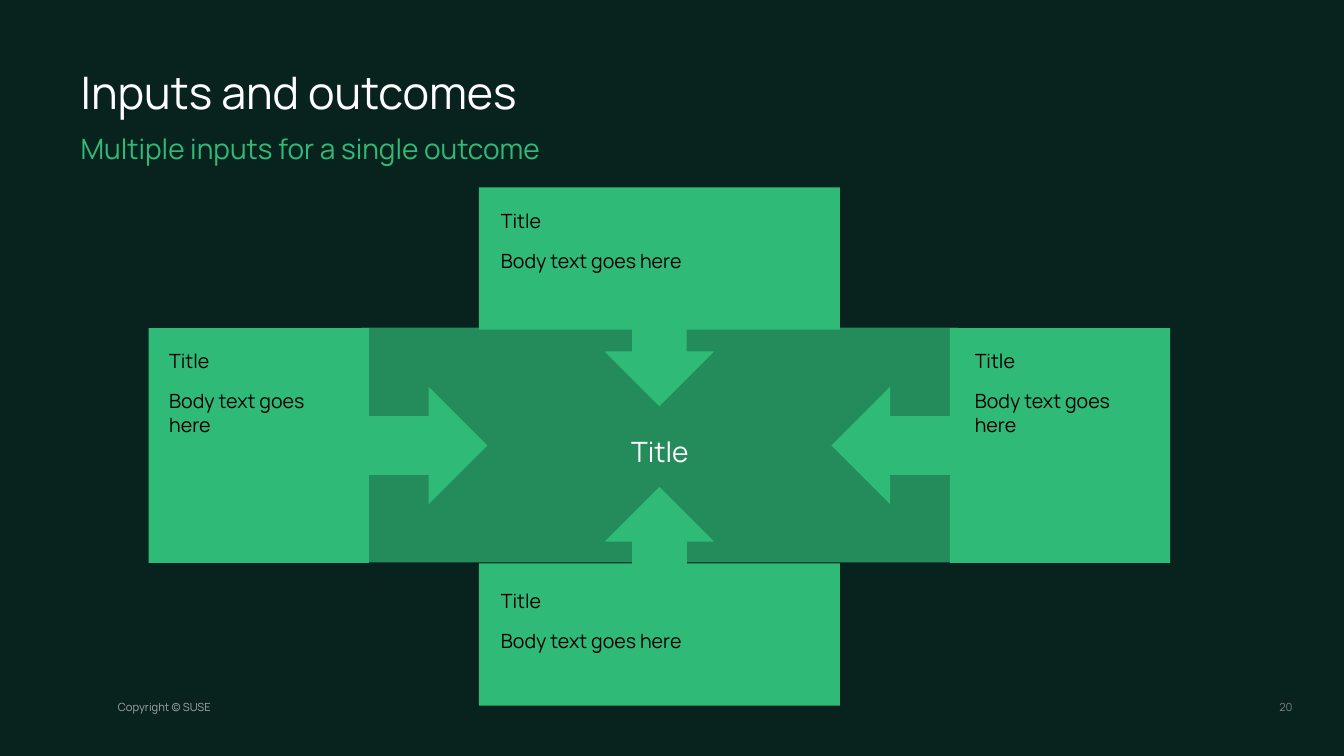
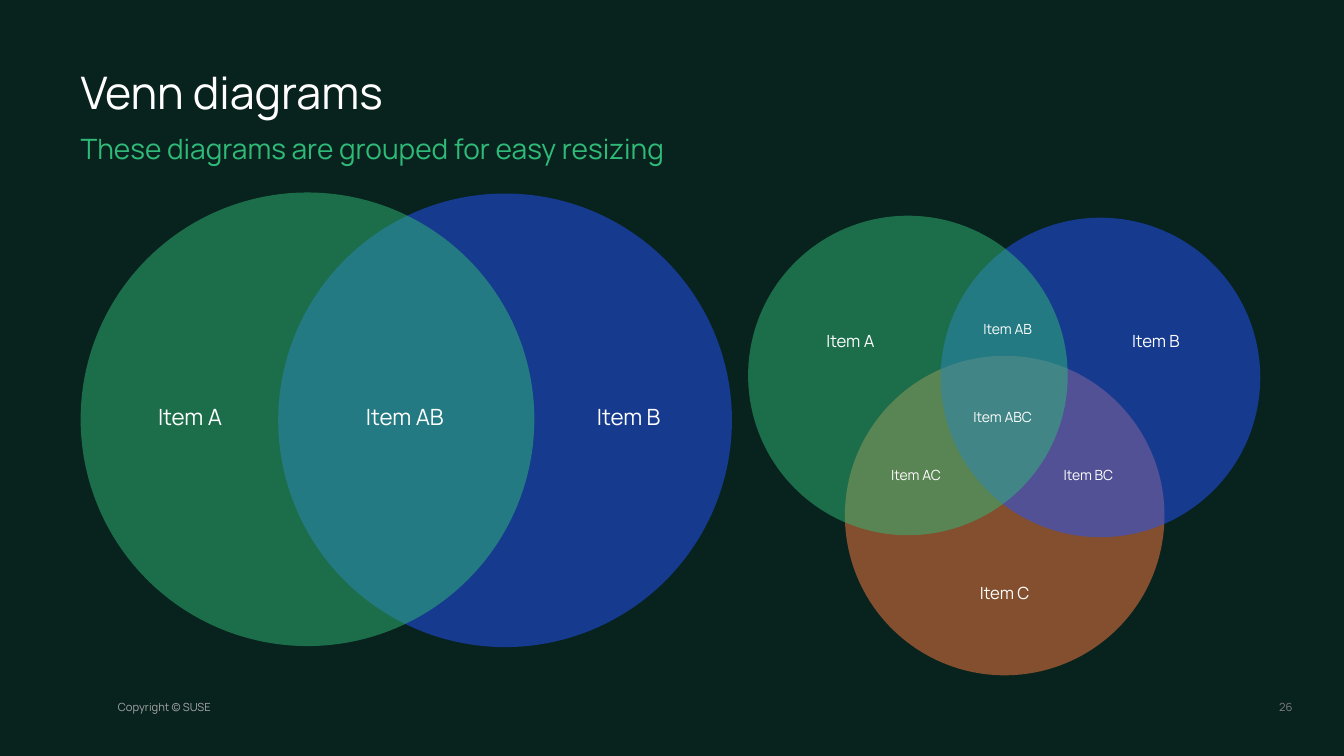
from lxml.etree import SubElement
from pptx import Presentation
from pptx.dml.color import RGBColor
from pptx.enum.shapes import MSO_SHAPE as Shape
from pptx.enum.text import MSO_ANCHOR as Anchor, MSO_AUTO_SIZE as Auto, PP_ALIGN as Align
from pptx.oxml.ns import qn
from pptx.util import Inches, Pt

DARK, WHITE, BLACK = "08221E", "FFFFFF", "000000"
GREEN, MID, BLUE, CORAL = "30BA78", "248C5A", "2453FF", "FE7C3F"
LIGHT, GREY = "A6A6A6", "808080"

FLAT = dict(margin_left=0, margin_right=0, margin_top=0, margin_bottom=0)
TITLE = dict(FLAT, vertical_anchor=Anchor.MIDDLE)

HUB = (3.58, 3.25, 5.92, 2.33)
TALL, WIDE = (3.58, 2.17), (2.33, 3.36)
INPUTS = [
    ((4.75, 1.86), TALL, 0, (4.87, 2.02, 3.13)),
    ((4.75, 4.83), TALL, 180, (4.87, 5.79, 3.13)),
    ((1.99, 2.74), WIDE, 270, (1.58, 3.41, 1.83)),
    ((8.76, 2.74), WIDE, 90, (9.57, 3.41, 1.83)),
]
HEAD, BODY, STEP = "Title", "Body text goes here", 0.4

BIG, SMALL, TINY = (1.41, 0.37, 16), (1.41, 0.3, 12), (1.07, 0.27, 10)
VENNS = [
    dict(
        size=4.5,
        discs=[(2.76, 1.92, BLUE), (0.8, 1.91, GREEN)],
        labels=[
            ("Item B", 5.53, 3.95, BIG),
            ("Item AB", 3.31, 3.95, BIG),
            ("Item A", 1.18, 3.95, BIG),
        ],
    ),
    dict(
        size=3.17,
        discs=[(8.38, 3.53, CORAL), (9.33, 2.16, BLUE), (7.42, 2.14, GREEN)],
        labels=[
            ("Item A", 7.73, 3.23, SMALL),
            ("Item B", 10.76, 3.23, SMALL),
            ("Item C", 9.26, 5.73, SMALL),
            ("Item AB", 9.46, 3.13, TINY),
            ("Item AC", 8.55, 4.58, TINY),
            ("Item BC", 10.26, 4.58, TINY),
            ("Item ABC", 9.41, 4, TINY),
        ],
    ),
]


def color(code):
    """Turn a hex string into a colour."""
    return RGBColor.from_string(code)


def apply(item, style):
    """Set each attribute named in a style."""
    for name, value in style.items():
        setattr(item, name, value)


def write(home, text, box, size, code, align=Align.LEFT, frame=None, lines=1):
    """Add a text box with one paragraph."""
    area = home.shapes.add_textbox(*map(Inches, box)).text_frame
    apply(area, dict(word_wrap=True, auto_size=Auto.SHAPE_TO_FIT_TEXT, **(frame or {})))
    para = area.paragraphs[0]
    para.text = text
    apply(para, dict(alignment=align, line_spacing=lines))
    apply(para.font, dict(name="Manrope", size=Pt(size)))
    para.font.color.rgb = color(code)


def draw(home, kind, box, code, turn=0, alpha=None):
    """Add a flat filled shape."""
    shape = home.shapes.add_shape(kind, *map(Inches, box))
    shape.shadow.inherit = False
    shape.rotation = turn
    shape.fill.solid()
    shape.fill.fore_color.rgb = color(code)
    shape.line.fill.background()
    if alpha:
        tint = shape.fill._xPr.find(".//" + qn("a:srgbClr"))
        SubElement(tint, qn("a:alpha")).set("val", str(alpha * 1000))


def start(deck, title, sub, page):
    """Add a slide with its titles and footer."""
    slide = deck.slides.add_slide(deck.slide_layouts[6])
    write(slide, "Copyright © SUSE", (1.17, 6.95, 1.35, 0.13), 8, LIGHT, frame=FLAT)
    write(slide, sub, (0.8, 1.27, 11.73, 0.36), 20, GREEN, frame=FLAT, lines=1.1)
    write(slide, title, (0.8, 0.69, 11.73, 0.5), 32, WHITE, frame=TITLE, lines=0.9)
    write(slide, page, (12.5, 6.95, 0.32, 0.13), 8, GREY, Align.RIGHT, FLAT)
    return slide


def inputs(deck):
    """Build the slide of four inputs around a hub."""
    slide = start(deck, "Inputs and outcomes", "Multiple inputs for a single outcome", "20")
    draw(slide, Shape.RECTANGLE, HUB, MID)
    for spot, size, turn, _ in INPUTS:
        draw(slide, Shape.DOWN_ARROW_CALLOUT, spot + size, GREEN, turn)
    for *_, (left, top, width) in INPUTS:
        for row, text in enumerate((HEAD, BODY)):
            write(slide, text, (left, top + row * STEP, width, 0.34), 14, BLACK)
    write(slide, HEAD, (4.98, 4.26, 3.13, 0.44), 20, WHITE, Align.CENTER)


def venns(deck):
    """Build the slide of grouped Venn diagrams."""
    slide = start(deck, "Venn diagrams", "These diagrams are grouped for easy resizing", "26")
    for venn in VENNS:
        group = slide.shapes.add_group_shape()
        size = venn["size"]
        for left, top, code in venn["discs"]:
            draw(group, Shape.OVAL, (left, top, size, size), code, alpha=50)
        for text, left, top, (width, height, font) in venn["labels"]:
            write(group, text, (left, top, width, height), font, WHITE, Align.CENTER)


def main():
    """Build and save the deck."""
    deck = Presentation()
    apply(deck, dict(slide_width=Inches(13.33), slide_height=Inches(7.5)))
    fill = deck.slide_master.background.fill
    fill.solid()
    fill.fore_color.rgb = color(DARK)
    inputs(deck)
    venns(deck)
    deck.save("out.pptx")


if __name__ == "__main__":
    main()
